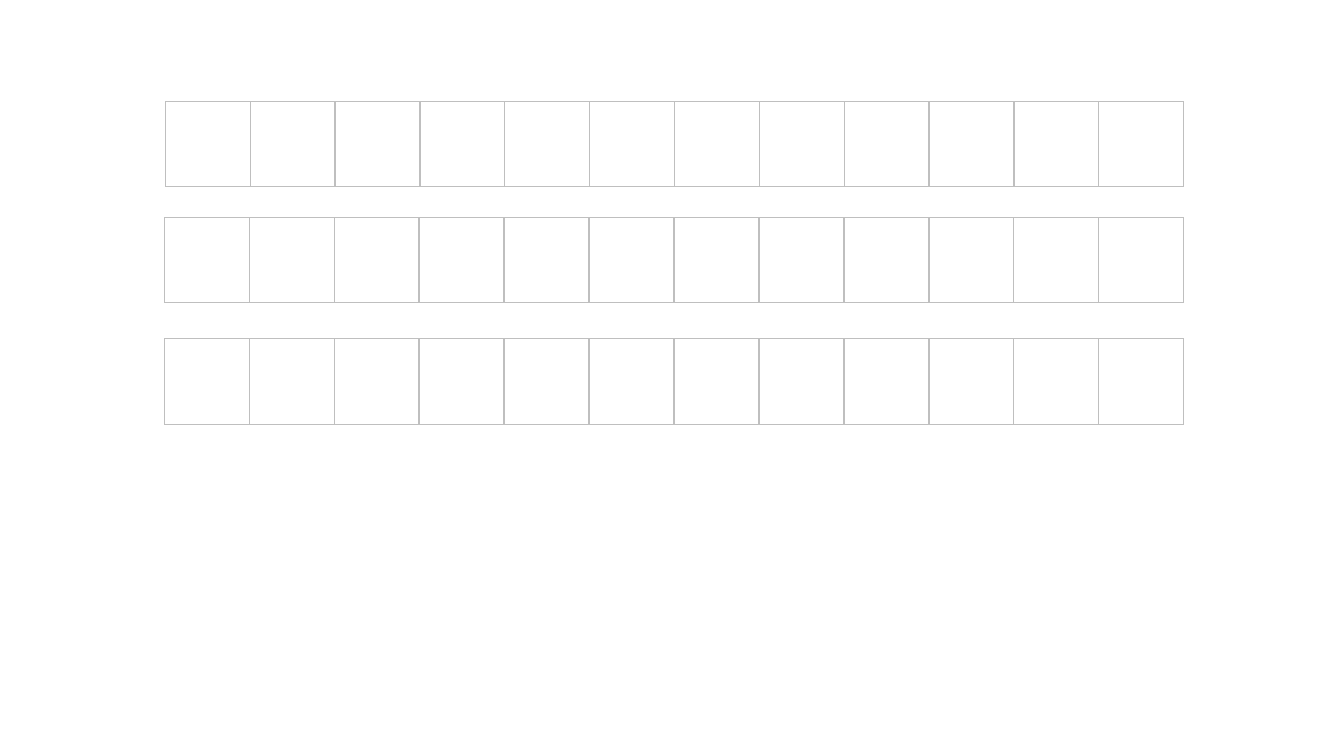
from dataclasses import dataclass

from lxml import etree
from pptx import Presentation
from pptx.dml.color import RGBColor
from pptx.enum.shapes import MSO_CONNECTOR
from pptx.oxml.ns import qn
from pptx.slide import Slide
from pptx.util import Inches, Pt

STRAIGHT = MSO_CONNECTOR.STRAIGHT
BLANK_LAYOUT = 6
CELL_COUNT = 12
STRIP_RIGHT = 11.74


@dataclass(frozen=True)
class Theme:
    background: RGBColor = RGBColor(0xFF, 0xFF, 0xFF)
    grid: RGBColor = RGBColor(0xBF, 0xBF, 0xBF)
    grid_width: Pt = Pt(1)


@dataclass(frozen=True)
class Strip:
    left: float
    top: float
    bottom: float


THEME = Theme()
STRIPS = (
    Strip(left=1.64, top=1.01, bottom=1.85),
    Strip(left=1.63, top=2.16, bottom=3.0),
    Strip(left=1.63, top=3.36, bottom=4.21),
)


def draw_edge(slide: Slide, x1: float, y1: float, x2: float, y2: float) -> None:
    edge = slide.shapes.add_connector(
        STRAIGHT, Inches(x1), Inches(y1), Inches(x2), Inches(y2)
    )
    edge.line.color.rgb = THEME.grid
    for attribute, value in {"width": THEME.grid_width}.items():
        setattr(edge.line, attribute, value)
    etree.SubElement(edge._element.spPr, qn("a:effectLst"))


def draw_strip(slide: Slide, strip: Strip) -> None:
    cell_width = (STRIP_RIGHT - strip.left) / CELL_COUNT
    for column in range(CELL_COUNT):
        left = strip.left + column * cell_width
        right = left + cell_width
        draw_edge(slide, left, strip.top, right, strip.top)
        draw_edge(slide, left, strip.top, left, strip.bottom)
        draw_edge(slide, left, strip.bottom, right, strip.bottom)
    # Closing edge of the last cell
    draw_edge(slide, STRIP_RIGHT, strip.top, STRIP_RIGHT, strip.bottom)


def main() -> None:
    # Slide and background
    deck = Presentation()
    deck.slide_width, deck.slide_height = Inches(13.33), Inches(7.5)
    slide = deck.slides.add_slide(deck.slide_layouts[BLANK_LAYOUT])
    slide.background.fill.solid()
    slide.background.fill.fore_color.rgb = THEME.background

    # Strips of empty cells
    for strip in STRIPS:
        draw_strip(slide, strip)

    deck.save("out.pptx")


if __name__ == "__main__":
    main()
